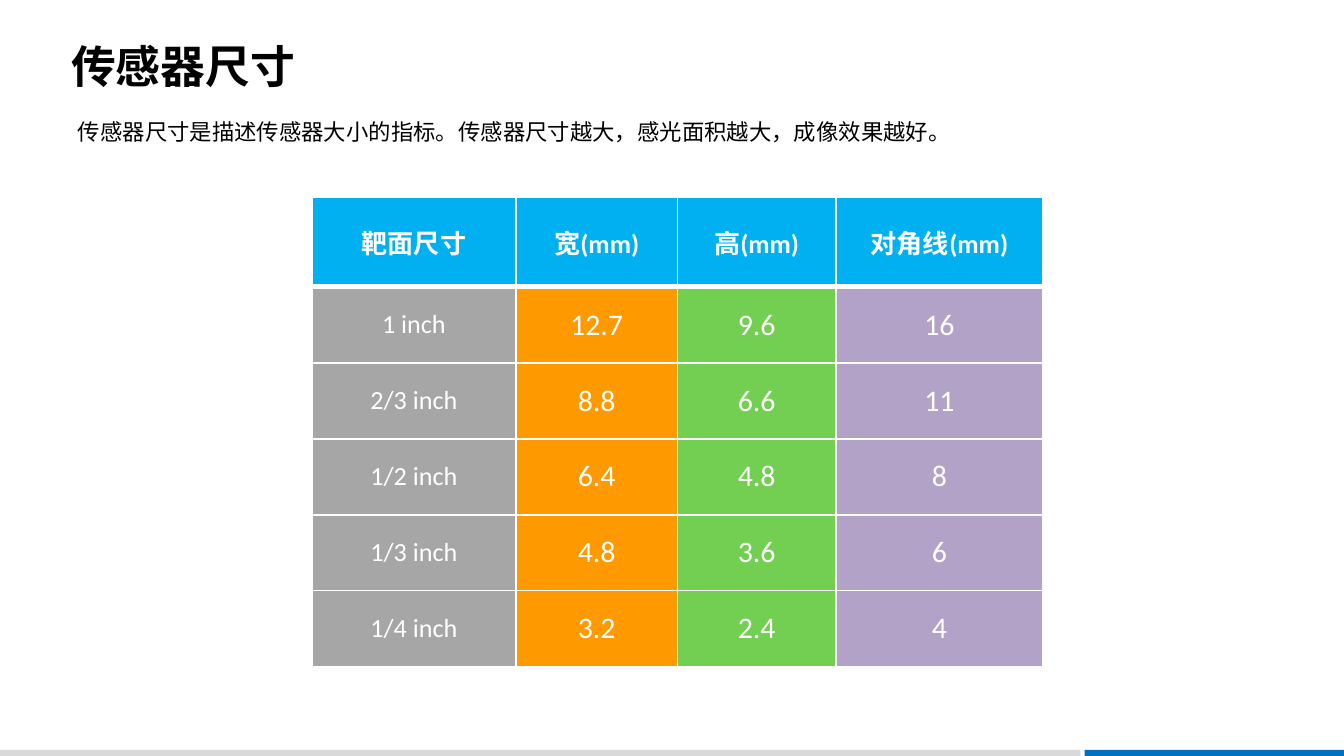
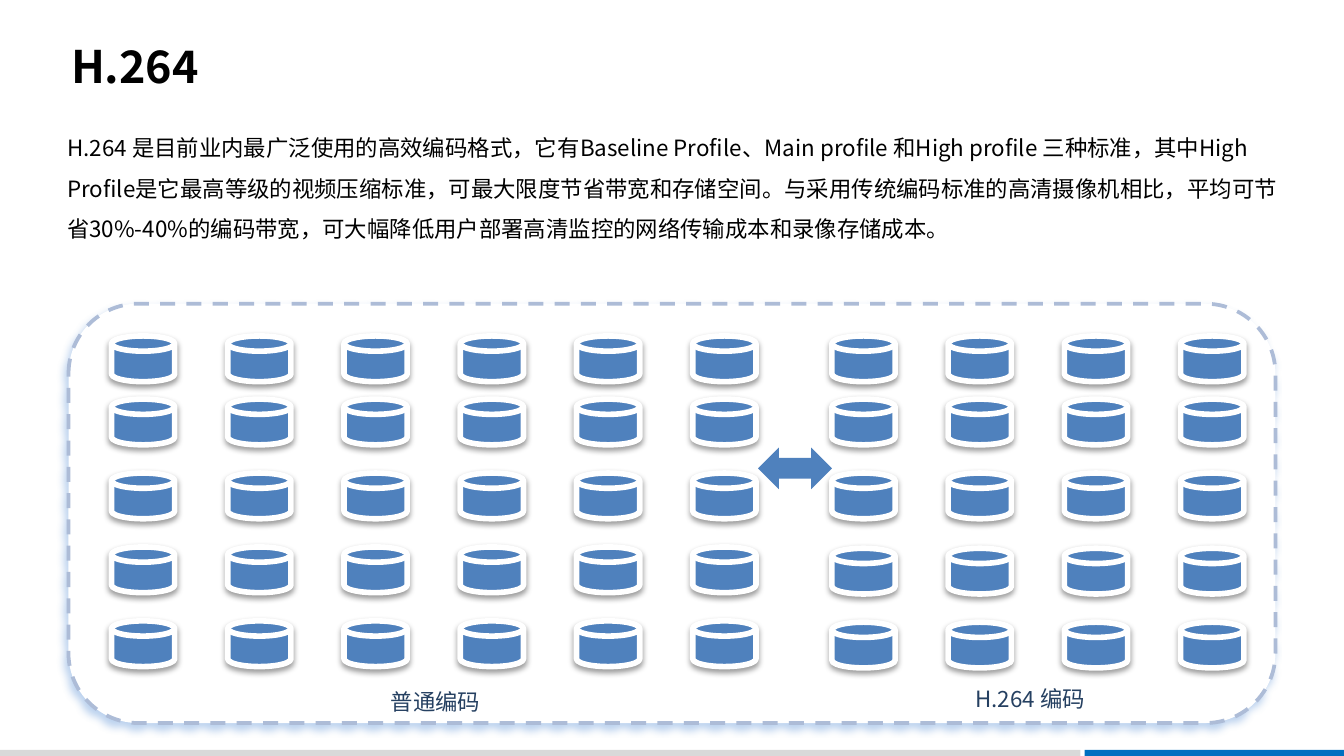
import dataclasses

import lxml.etree
import pptx
import pptx.dml.color
import pptx.enum.dml
import pptx.enum.shapes
import pptx.enum.text
import pptx.oxml.ns
import pptx.util

EMU_PER_PX = 4572  # 200 px to the inch
SHAPE = pptx.enum.shapes.MSO_SHAPE
ALIGN = pptx.enum.text.PP_ALIGN
ANCHOR = pptx.enum.text.MSO_ANCHOR


@dataclasses.dataclass(frozen=True)
class Theme:
    white: str = "FFFFFF"
    text: str = "000000"
    label: str = "254061"
    band_grey: str = "D9D9D9"
    band_blue: str = "0070C0"
    header: str = "00B0F0"
    columns: tuple = ("A6A6A6", "FF9900", "72CF52", "B3A2C7")
    accent: str = "4F81BD"
    dash: str = "ADBCD7"
    panel_shadow: tuple = ("558ED5", 40, 4, 3, 120)
    disk_shadow: tuple = ("000000", 38, 3.1, 1.6, 90)
    font: str = "Noto Sans CJK SC"
    table_font: str = "Calibri"
    title_size: int = 24
    body_size: int = 12
    head_size: int = 14
    value_size: int = 16


def px(n):
    return pptx.util.Emu(n * EMU_PER_PX)


def rgb(color):
    return pptx.dml.color.RGBColor.from_string(color)


def sub(parent, tag, **attrs):
    """Append a DrawingML child element."""
    name = pptx.oxml.ns.qn("a:" + tag)
    return lxml.etree.SubElement(parent, name, {k: str(v) for k, v in attrs.items()})


class Deck:
    def __init__(self, theme):
        self.theme = theme
        self.prs = pptx.Presentation()
        self.prs.slide_width, self.prs.slide_height = px(2000), px(1125)
        self.s = None

    def slide(self, title):
        """Start a slide with the footer bands and a title."""
        t = self.theme
        self.s = self.prs.slides.add_slide(self.prs.slide_layouts[6])
        self.shape(SHAPE.RECTANGLE, (0, 1116, 1608, 10), t.band_grey)
        self.shape(SHAPE.RECTANGLE, (1614, 1116, 386, 10), t.band_blue)
        self.text(title, (86, 58, 1402, 80), size=t.title_size, bold=True,
                  margins=(20, 0), anchor=ANCHOR.MIDDLE)

    def style(self, p, size, color, font, bold=False):
        p.font.size, p.font.bold, p.font.name = pptx.util.Pt(size), bold, font
        p.font.color.rgb = rgb(color)
        sub(p.font._element, "ea", typeface=self.theme.font)

    def text(self, text, box, size=None, color=None, bold=False, margins=(14, 8),
             anchor=ANCHOR.TOP, align=ALIGN.LEFT, spacing=1.0):
        sp = self.s.shapes.add_textbox(*map(px, box))
        tf = sp.text_frame
        tf.word_wrap, tf.vertical_anchor = True, anchor
        tf.auto_size = pptx.enum.text.MSO_AUTO_SIZE.SHAPE_TO_FIT_TEXT
        tf.margin_left = tf.margin_right = px(margins[0])
        tf.margin_top = tf.margin_bottom = px(margins[1])
        p = tf.paragraphs[0]
        p.text, p.alignment, p.line_spacing = text, align, spacing
        self.style(p, size or self.theme.body_size, color or self.theme.text,
                   self.theme.font, bold)

    def shape(self, kind, box, fill, line=None, width=1, dash=None, shadow=None):
        sp = self.s.shapes.add_shape(kind, *map(px, box))
        sp.fill.solid()
        sp.fill.fore_color.rgb = rgb(fill)
        if line:
            sp.line.color.rgb = rgb(line)
            sp.line.width = pptx.util.Pt(width)
            if dash:
                sp.line.dash_style = dash
        else:
            sp.line.fill.background()
        sp.shadow.inherit = False
        if shadow:
            self.shadow(sp, *shadow)

    def shadow(self, sp, color, alpha, blur, dist, angle):
        effects = sp._element.spPr.find(pptx.oxml.ns.qn("a:effectLst"))
        outer = sub(effects, "outerShdw", blurRad=pptx.util.Pt(blur),
                    dist=pptx.util.Pt(dist), dir=angle * 60000,
                    algn="ctr", rotWithShape=0)
        sub(sub(outer, "srgbClr", val=color), "alpha", val=alpha * 1000)

    def table(self, rows, left, top, widths, heights):
        t = self.theme
        frame = self.s.shapes.add_table(len(rows), len(widths), px(left), px(top),
                                        px(sum(widths)), px(sum(heights)))
        tbl = frame.table
        tbl.horz_banding = False
        for column, width in zip(tbl.columns, widths):
            column.width = px(width)
        for i, (row, height) in enumerate(zip(rows, heights)):
            tbl.rows[i].height = px(height)
            for j, value in enumerate(row):
                head = i == 0
                size = t.head_size if head or j == 0 else t.value_size
                self.cell(tbl.cell(i, j), value, t.header if head else t.columns[j],
                          size, head, top=3 if i == 1 else 1, bottom=3 if head else 1)

    def cell(self, cell, value, fill, size, bold, top, bottom):
        cell.vertical_anchor = ANCHOR.MIDDLE
        p = cell.text_frame.paragraphs[0]
        p.text, p.alignment = value, ALIGN.CENTER
        self.style(p, size, self.theme.white, self.theme.table_font, bold)
        tcPr = cell._tc.get_or_add_tcPr()
        for side, width in (("lnL", 1), ("lnR", 1), ("lnT", top), ("lnB", bottom)):
            ln = sub(tcPr, side, w=pptx.util.Pt(width))
            sub(sub(ln, "solidFill"), "srgbClr", val=self.theme.white)
        cell.fill.solid()
        cell.fill.fore_color.rgb = rgb(fill)

    def disks(self, left, columns, tops):
        """Draw a grid of storage disks."""
        t = self.theme
        for column in range(columns):
            for top in tops:
                self.shape(SHAPE.FLOWCHART_MAGNETIC_DISK,
                           (left + 173 * column, top, 94, 68), t.accent,
                           t.white, 3, shadow=t.disk_shadow)


def sensor_slide(deck):
    deck.slide("传感器尺寸")
    deck.text("传感器尺寸是描述传感器大小的指标。传感器尺寸越大，感光面积越大，成像效果越好。",
              (102, 168, 1792, 56))
    rows = [
        ("靶面尺寸", "宽(mm)", "高(mm)", "对角线(mm)"),
        ("1 inch", "12.7", "9.6", "16"),
        ("2/3 inch", "8.8", "6.6", "11"),
        ("1/2 inch", "6.4", "4.8", "8"),
        ("1/3 inch", "4.8", "3.6", "6"),
        ("1/4 inch", "3.2", "2.4", "4"),
    ]
    deck.table(rows, 464, 294, (304, 240, 236, 308), [133] + [113] * 5)


def codec_slide(deck):
    t = deck.theme
    deck.slide("H.264")
    deck.shape(SHAPE.ROUNDED_RECTANGLE, (102, 452, 1796, 624), t.white, t.dash, 2,
               pptx.enum.dml.MSO_LINE.DASH, t.panel_shadow)
    deck.text("H.264 是目前业内最广泛使用的高效编码格式，它有Baseline Profile、Main profile "
              "和High profile 三种标准，其中High Profile是它最高等级的视频压缩标准，"
              "可最大限度节省带宽和存储空间。与采用传统编码标准的高清摄像机相比，"
              "平均可节省30%-40%的编码带宽，可大幅降低用户部署高清监控的网络传输成本和录像存储成本。",
              (86, 172, 1842, 190), spacing=1.5)
    for label, box in (("普通编码", (396, 988, 504, 86)),
                       ("H.264 编码", (1360, 984, 346, 86))):
        deck.text(label, box, color=t.label, margins=(32, 16),
                  align=ALIGN.CENTER, spacing=1.5)
    deck.disks(166, 6, (500, 594, 704, 814, 924))
    deck.shape(SHAPE.LEFT_RIGHT_ARROW, (1128, 666, 110, 62), t.accent)
    deck.disks(1238, 4, (500, 594, 704, 816, 926))


def main():
    deck = Deck(Theme())
    sensor_slide(deck)
    codec_slide(deck)
    deck.prs.save("out.pptx")


if __name__ == "__main__":
    main()
